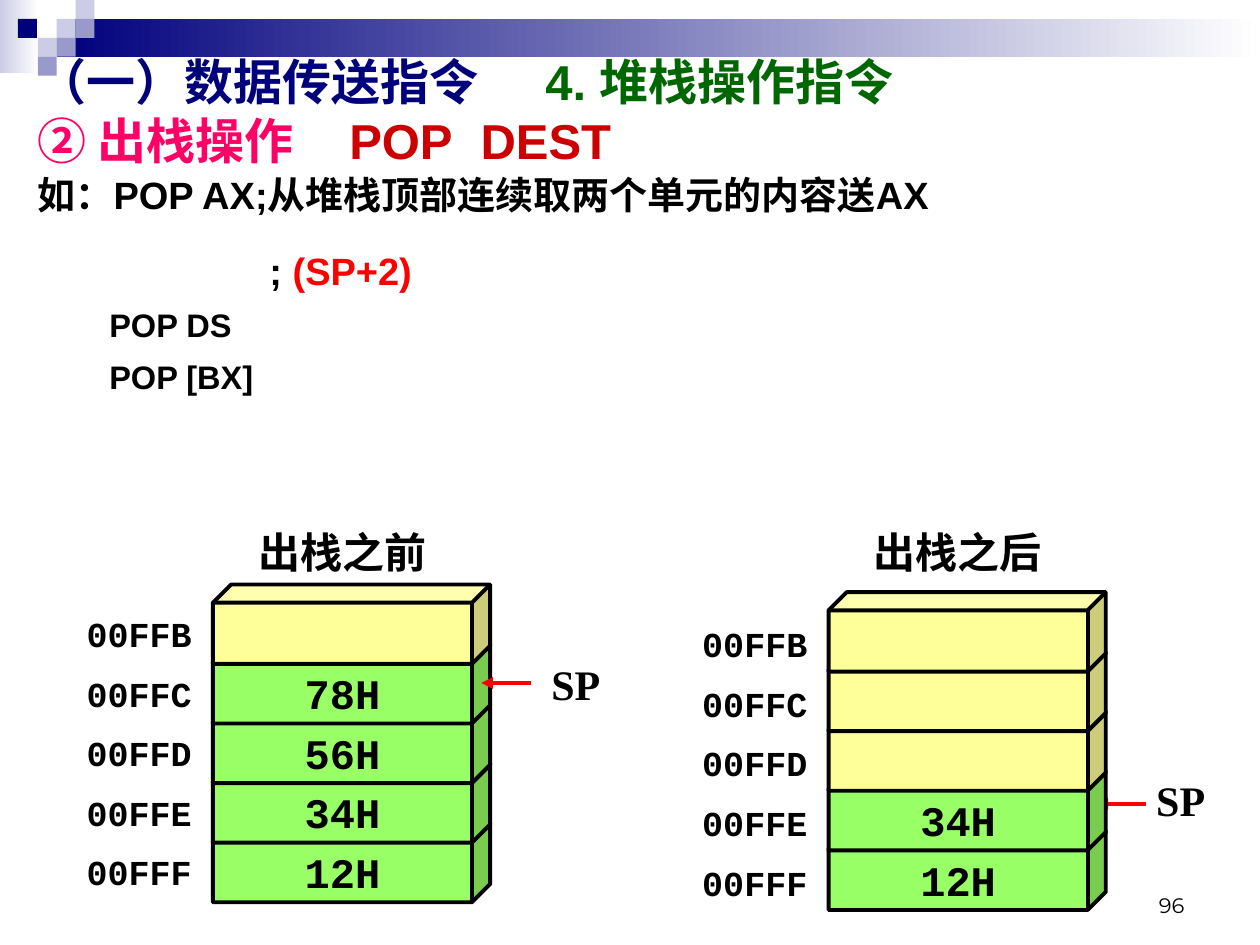
import pptx
import pptx.dml.color
import pptx.enum.shapes
import pptx.enum.text
import pptx.oxml
import pptx.oxml.ns
import pptx.util
from lxml import etree

Pt = pptx.util.Pt
RGBColor = pptx.dml.color.RGBColor
SHAPE = pptx.enum.shapes.MSO_SHAPE
ALIGN = pptx.enum.text.PP_ALIGN
ANCHOR = pptx.enum.text.MSO_ANCHOR

BLACK = RGBColor(0x00, 0x00, 0x00)
WHITE = RGBColor(0xFF, 0xFF, 0xFF)
NAVY = RGBColor(0x00, 0x00, 0x7D)
LAVENDER = RGBColor(0xCC, 0xCC, 0xE6)
VIOLET = RGBColor(0x99, 0x99, 0xCC)
DARK_GREEN = RGBColor(0x00, 0x66, 0x00)
PINK = RGBColor(0xFF, 0x00, 0x66)
DARK_RED = RGBColor(0xCC, 0x00, 0x00)
RED = RGBColor(0xFF, 0x00, 0x00)
LIME = RGBColor(0x99, 0xFF, 0x66)
YELLOW = RGBColor(0xFF, 0xFF, 0x99)

ADDRESSES = ["00FFB", "00FFC", "00FFD", "00FFE", "00FFF"]
ROW_PITCH = 34.05
CUBE_WIDTH, CUBE_HEIGHT = 158.4, 45.4


def add_run(para, text, size, color, font="Arial", bold=True):
    span = para.add_run()
    span.text = text
    span.font.name = font
    span.font.size = Pt(size)
    span.font.bold = bold
    span.font.color.rgb = color


def add_tab_stops(para, positions):
    properties = para._p.get_or_add_pPr()
    tabs = etree.SubElement(properties, pptx.oxml.ns.qn("a:tabLst"))
    for position in positions:
        etree.SubElement(tabs, pptx.oxml.ns.qn("a:tab"), pos=str(Pt(position)), algn="l")


def add_box(page, left, top, width, height):
    return page.shapes.add_textbox(Pt(left), Pt(top), Pt(width), Pt(height))


def add_label(page, left, top, width, height, text, size, font, align,
              anchor=ANCHOR.MIDDLE, bold=True):
    frame = add_box(page, left, top, width, height).text_frame
    frame.word_wrap = False
    frame.vertical_anchor = anchor
    para = frame.paragraphs[0]
    para.alignment = align
    add_run(para, text, size, BLACK, font, bold)


def add_bar(page, left, top, width, height, color, fade=False):
    bar = page.shapes.add_shape(SHAPE.RECTANGLE, Pt(left), Pt(top), Pt(width), Pt(height))
    bar.shadow.inherit = False
    bar.line.fill.background()
    if fade:
        bar.fill.gradient()
        bar.fill.gradient_angle = 0
        for stop, shade in zip(bar.fill.gradient_stops, (color, WHITE)):
            stop.color.rgb = shade
    else:
        bar.fill.solid()
        bar.fill.fore_color.rgb = color


def draw_banner(page, width):
    tile = 10.8
    add_bar(page, 0, 0, 22.3, 41.8, LAVENDER, fade=True)
    add_bar(page, 3 * tile, tile, width - 3 * tile, 2 * tile, NAVY, fade=True)
    tiles = [(3, 1, LAVENDER), (4, 0, LAVENDER), (4, 1, VIOLET), (2, 2, LAVENDER),
             (0.95, 1, NAVY), (3, 2, VIOLET), (2, 3, VIOLET)]
    for column, row, color in tiles:
        add_bar(page, column * tile, row * tile, tile, tile, color)


def fill_title(title, left, top, width, height):
    title.left, title.top, title.width, title.height = map(Pt, (left, top, width, height))
    frame = title.text_frame
    frame.word_wrap = True
    frame.auto_size = pptx.enum.text.MSO_AUTO_SIZE.NONE
    frame.vertical_anchor = ANCHOR.TOP
    lines = [
        ([290], [("（一）数据传送指令\t", NAVY), ("4. 堆栈操作指令", DARK_GREEN)]),
        ([178, 253], [("② 出栈操作\t", PINK), ("POP\tDEST", DARK_RED)]),
    ]
    for index, (stops, spans) in enumerate(lines):
        para = frame.add_paragraph() if index else frame.paragraphs[0]
        para.alignment = ALIGN.LEFT
        add_tab_stops(para, stops)
        for text, color in spans:
            add_run(para, text, 28, color)


def draw_examples(page, left, top, width, height):
    frame = add_box(page, left, top, width, height).text_frame
    frame.word_wrap = True
    lines = [
        (0, 0, 21.7, [("如：POP AX;从堆栈顶部连续取两个单元的内容送AX", BLACK)]),
        (132.5, 17.5, 21.7, [("; ", BLACK), ("(SP+2)", RED)]),
        (41, 7, 18.6, [("POP DS", BLACK)]),
        (41, 7, 18.6, [("POP [BX]", BLACK)]),
    ]
    for index, (indent, space, size, spans) in enumerate(lines):
        para = frame.add_paragraph() if index else frame.paragraphs[0]
        para._p.get_or_add_pPr().set("marL", str(Pt(indent)))
        if space:
            para.space_before = Pt(space)
        for text, color in spans:
            add_run(para, text, size, color)


def draw_stack(page, left, top, values, label_shift):
    for row in reversed(range(len(values))):
        cube = page.shapes.add_shape(SHAPE.CUBE, Pt(left), Pt(top + row * ROW_PITCH),
                                     Pt(CUBE_WIDTH), Pt(CUBE_HEIGHT))
        cube.shadow.inherit = False
        cube.adjustments[0] = 0.229
        cube.fill.solid()
        cube.fill.fore_color.rgb = LIME if values[row] else YELLOW
        cube.line.color.rgb = BLACK
        cube.line.width = Pt(2.25)
        if values[row]:
            frame = cube.text_frame
            frame.word_wrap = False
            frame.vertical_anchor = ANCHOR.MIDDLE
            para = frame.paragraphs[0]
            para.alignment = ALIGN.CENTER
            add_run(para, values[row], 24, BLACK, "Courier New")
    for row, address in enumerate(ADDRESSES):
        add_label(page, left - 119, top + label_shift + row * ROW_PITCH, 114, 34,
                  address, 20, "Courier New", ALIGN.RIGHT)


def draw_caption(page, left, top, text):
    add_label(page, left, top, 113, 34, text, 24, "Times New Roman", ALIGN.CENTER)


def draw_pointer(page, tip, level, label_left, label_top):
    arrow = page.shapes.add_connector(pptx.enum.shapes.MSO_CONNECTOR.STRAIGHT,
                                      Pt(tip + 28.5), Pt(level), Pt(tip), Pt(level))
    arrow.line.color.rgb = RED
    arrow.line.width = Pt(2.25)
    etree.SubElement(arrow.line._get_or_add_ln(), pptx.oxml.ns.qn("a:tailEnd"), type="triangle")
    etree.SubElement(arrow._element.spPr, pptx.oxml.ns.qn("a:effectLst"))
    add_label(page, label_left, label_top, 62, 34, "SP", 24, "Times New Roman", ALIGN.CENTER)


def main():
    deck = pptx.Presentation()
    deck.slide_width, deck.slide_height = Pt(720), Pt(540)
    page = deck.slides.add_slide(deck.slide_layouts[5])
    draw_banner(page, 720)
    fill_title(page.shapes.title, 14.4, 26, 692, 45.4)
    draw_examples(page, 14.4, 94.3, 692, 130.3)

    draw_stack(page, 121.7, 334, ["", "78H", "56H", "34H", "12H"], 11)
    draw_pointer(page, 275, 390.3, 298, 373.7)
    draw_caption(page, 139, 298, "出栈之前")

    draw_pointer(page, 626.5, 459.4, 643.7, 440)
    draw_stack(page, 473.5, 338.4, ["", "", "", "34H", "12H"], 12.5)
    draw_caption(page, 490.5, 298, "出栈之后")

    add_label(page, 516.2, 491.8, 167.8, 36, "96", 12, "Montserrat", ALIGN.RIGHT,
              ANCHOR.BOTTOM, False)
    deck.save("out.pptx")


if __name__ == "__main__":
    main()
